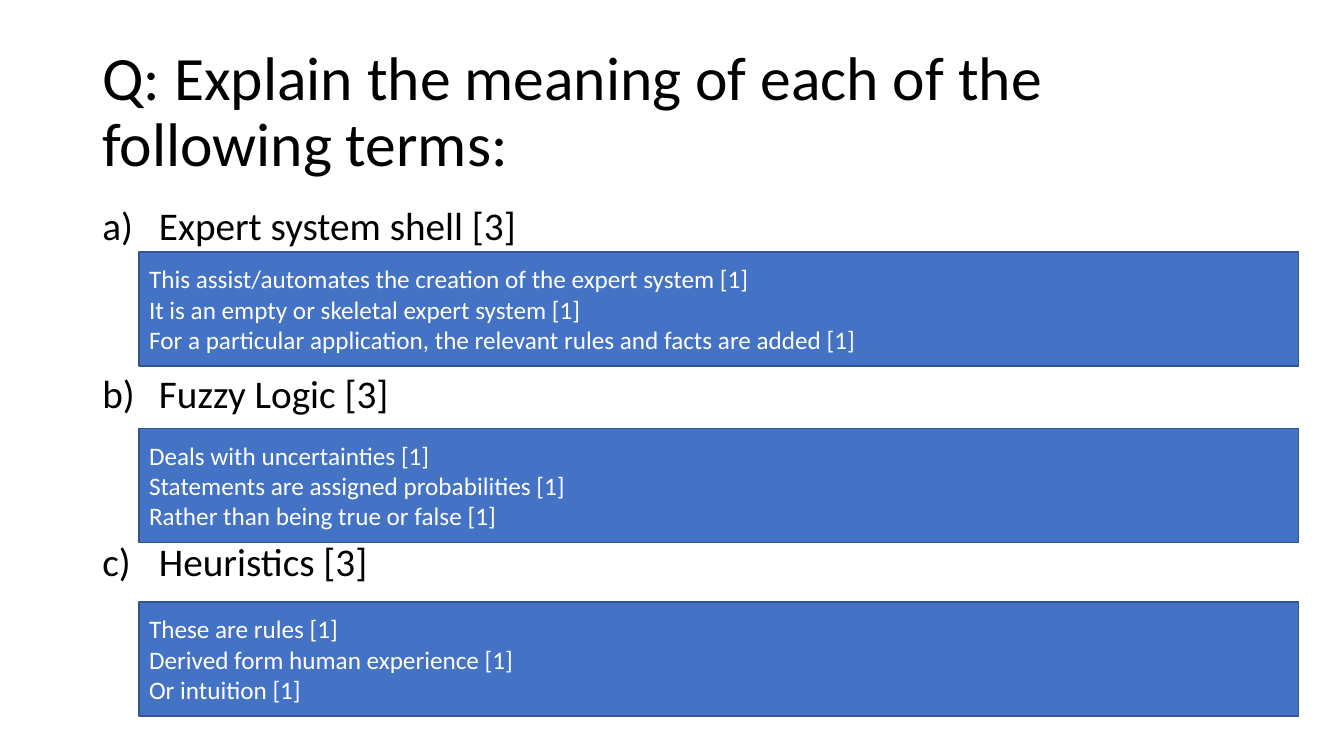
"""Build a question slide with three terms and their model answers."""
import pptx
import pptx.dml.color
import pptx.enum.shapes
import pptx.enum.text
import pptx.oxml.ns
import pptx.util
import lxml.etree

Pt = pptx.util.Pt
MIDDLE = pptx.enum.text.MSO_ANCHOR.MIDDLE
LEFT = pptx.enum.text.PP_ALIGN.LEFT
COLORS = {"text": "000000", "answer": "4472C4", "border": "325491", "answer_text": "FFFFFF"}

QUESTION = "Q: Explain the meaning of each of the following terms:"
TERMS = [
    ("Expert system shell [3]", 180, [
        "This assist/automates the creation of the expert system [1]",
        "It is an empty or skeletal expert system [1]",
        "For a particular application, the relevant rules and facts are added [1]",
    ]),
    ("Fuzzy Logic [3]", 306, [
        "Deals with uncertainties [1]",
        "Statements are assigned probabilities [1]",
        "Rather than being true or false [1]",
    ]),
    ("Heuristics [3]", 430, [
        "These are rules [1]",
        "Derived form human experience [1]",
        "Or intuition [1]",
    ]),
]


def color(name):
    return pptx.dml.color.RGBColor.from_string(COLORS[name])


def add_line(frame, index, text, size, color_name):
    paragraph = frame.add_paragraph() if index else frame.paragraphs[0]
    paragraph.alignment = LEFT
    run = paragraph.add_run()
    run.text = text
    run.font.name = "Calibri"
    run.font.size = Pt(size)
    run.font.color.rgb = color(color_name)
    return paragraph


presentation = pptx.Presentation()
presentation.slide_width = Pt(960)
presentation.slide_height = Pt(540)
slide = presentation.slides.add_slide(presentation.slide_layouts[6])

title = slide.shapes.add_textbox(Pt(66), Pt(28.75), Pt(828), Pt(104.4))
title.text_frame.word_wrap = True
title.text_frame.vertical_anchor = MIDDLE
add_line(title.text_frame, 0, QUESTION, 44, "text").line_spacing = 0.9

term_list = slide.shapes.add_textbox(Pt(66), Pt(143.75), Pt(828), Pt(342.6))
term_list.text_frame.word_wrap = True

for index, (term, top, answers) in enumerate(TERMS):
    paragraph = add_line(term_list.text_frame, index, term, 28, "text")
    paragraph.line_spacing = 0.9
    paragraph.space_before = Pt(90 if index else 0)
    properties = paragraph._p.get_or_add_pPr()
    properties.set("marL", str(Pt(40.5)))
    properties.set("indent", str(Pt(-40.5)))
    lxml.etree.SubElement(properties, pptx.oxml.ns.qn("a:buAutoNum"), type="alphaLcParenR")

    answer_box = slide.shapes.add_shape(
        pptx.enum.shapes.MSO_SHAPE.RECTANGLE, Pt(99.4), Pt(top), Pt(828), Pt(81.4))
    answer_box.shadow.inherit = False
    answer_box.fill.solid()
    answer_box.fill.fore_color.rgb = color("answer")
    answer_box.line.color.rgb = color("border")
    answer_box.line.width = Pt(1)
    answer_box.text_frame.word_wrap = True
    answer_box.text_frame.vertical_anchor = MIDDLE
    for line, answer in enumerate(answers):
        add_line(answer_box.text_frame, line, answer, 18, "answer_text")

presentation.save("out.pptx")
